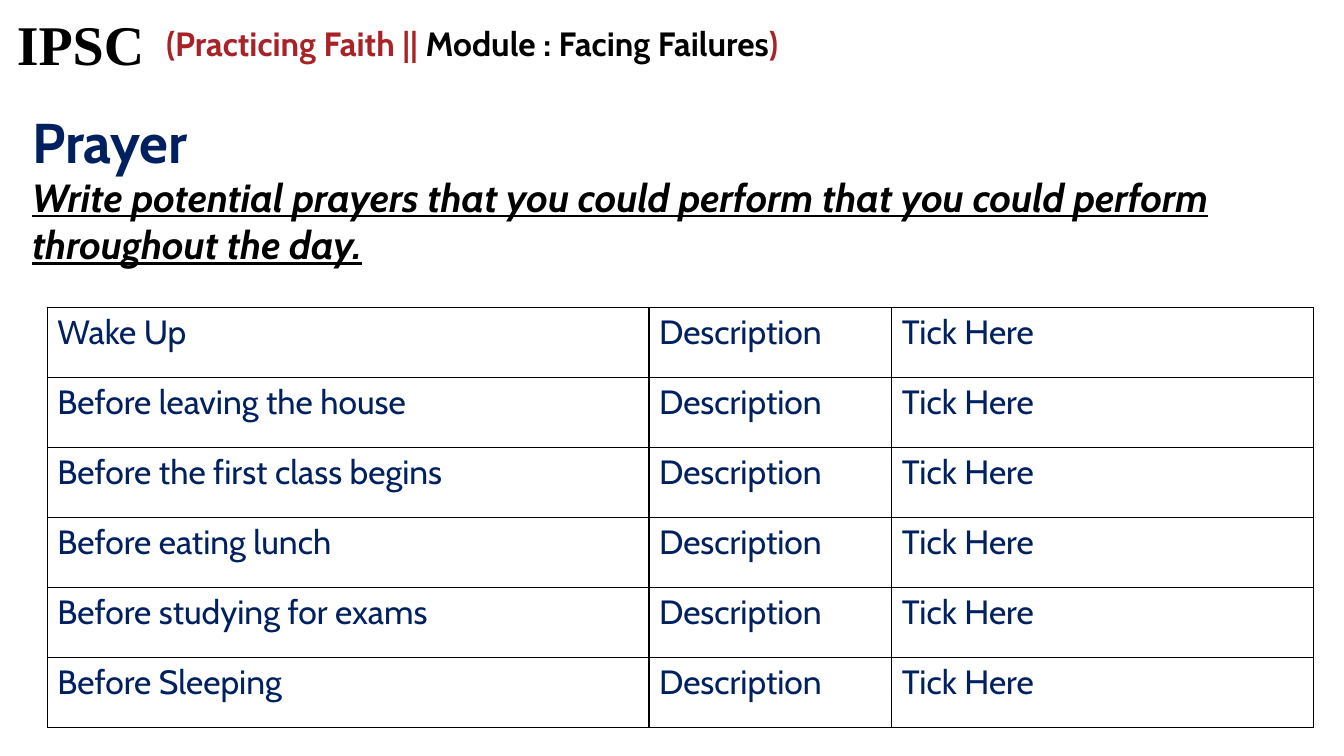
import pptx
import pptx.dml.color
import pptx.enum.text
import pptx.oxml
import pptx.oxml.ns
import pptx.util

Pt = pptx.util.Pt
BLACK = pptx.dml.color.RGBColor(0x00, 0x00, 0x00)
RED = pptx.dml.color.RGBColor(0xA7, 0x23, 0x27)
NAVY = pptx.dml.color.RGBColor(0x00, 0x20, 0x60)

COURSE = {"name": "Times New Roman", "size": Pt(40), "bold": True}
MODULE = {"name": "Cabin", "size": Pt(24), "bold": True}
HEADING = {"name": "Cabin", "size": Pt(40), "bold": True}
INSTRUCTION = {"name": "Cabin", "size": Pt(28), "bold": True, "italic": True, "underline": True}
CELL = {"name": "Cabin", "size": Pt(24), "bold": False}


def add_span(para, text, color, font_format):
    span = para.add_run()
    span.text = text
    for attribute, value in font_format.items():
        setattr(span.font, attribute, value)
    span.font.color.rgb = color


def add_borders(cell):
    properties = cell._tc.get_or_add_tcPr()
    for position, side in enumerate(("lnL", "lnR", "lnT", "lnB")):
        border = pptx.oxml.parse_xml(
            f'<a:{side} {pptx.oxml.ns.nsdecls("a")} w="{Pt(1)}"><a:solidFill>'
            f'<a:srgbClr val="{BLACK}"/></a:solidFill></a:{side}>'
        )
        properties.insert(position, border)


deck = pptx.Presentation()
deck.slide_width, deck.slide_height = Pt(960), Pt(540)
page = deck.slides.add_slide(deck.slide_layouts[5])

# Heading
heading = page.shapes.title
heading.left, heading.top, heading.width, heading.height = Pt(15.8), Pt(49), Pt(129.6), Pt(72.7)
heading_format = {
    "word_wrap": False,
    "auto_size": pptx.enum.text.MSO_AUTO_SIZE.NONE,
    "vertical_anchor": pptx.enum.text.MSO_ANCHOR.TOP,
}
for attribute, value in heading_format.items():
    setattr(heading.text_frame, attribute, value)
para = heading.text_frame.paragraphs[0]
para.alignment = pptx.enum.text.PP_ALIGN.LEFT
para.line_spacing = 1.5
add_span(para, "Prayer", NAVY, HEADING)

# Course line and instruction
text_boxes = [
    ((5, 3, 113, 55.4), False, COURSE, [("IPSC", BLACK)]),
    ((111.6, 13, 700, 36), True, MODULE, [
        ("(Practicing Faith || ", RED),
        ("Module : Facing Failures", BLACK),
        (")", RED),
    ]),
    ((15.8, 120.2, 922.3, 75), True, INSTRUCTION, [
        ("Write potential prayers that you could perform that you could perform "
         "throughout the day.", BLACK),
    ]),
]
for place, wrap, font_format, spans in text_boxes:
    box = page.shapes.add_textbox(*[Pt(length) for length in place])
    box.text_frame.word_wrap = wrap
    box.text_frame.auto_size = pptx.enum.text.MSO_AUTO_SIZE.SHAPE_TO_FIT_TEXT
    for text, color in spans:
        add_span(box.text_frame.paragraphs[0], text, color, font_format)

# Prayer table
occasions = [
    "Wake Up",
    "Before leaving the house",
    "Before the first class begins",
    "Before eating lunch",
    "Before studying for exams",
    "Before Sleeping",
]
column_widths = [429.8, 173.4, 301.4]
row_height = 50
frame = page.shapes.add_table(
    len(occasions), len(column_widths),
    Pt(33.8), Pt(219.6), Pt(sum(column_widths)), Pt(row_height * len(occasions)),
)
table = frame.table
table.first_row = False
table.horz_banding = False
for column, width in zip(table.columns, column_widths):
    column.width = Pt(width)
for row, occasion in zip(table.rows, occasions):
    row.height = Pt(row_height)
    for cell, text in zip(row.cells, (occasion, "Description", "Tick Here")):
        cell.fill.background()
        add_borders(cell)
        add_span(cell.text_frame.paragraphs[0], text, NAVY, CELL)

deck.save("out.pptx")
